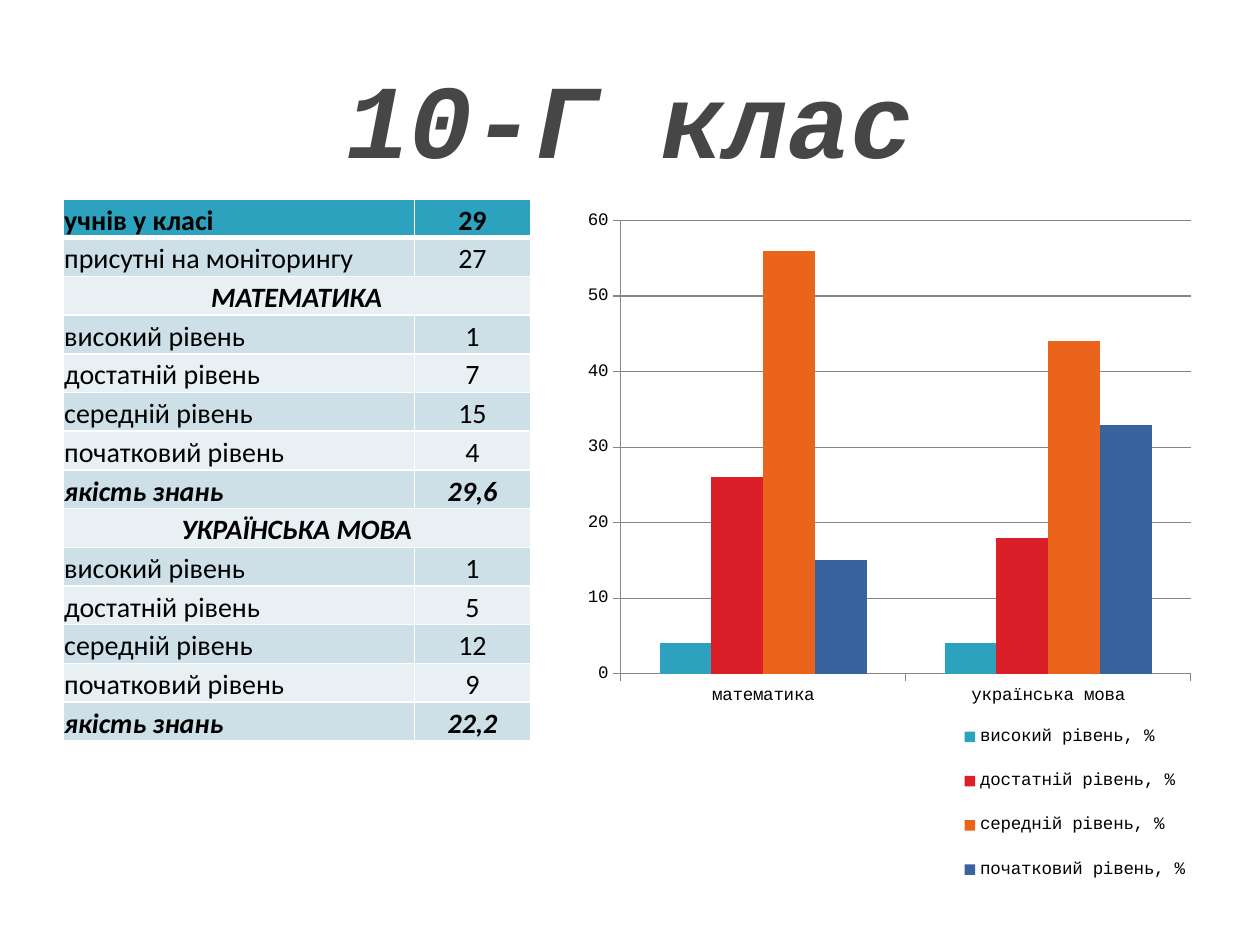
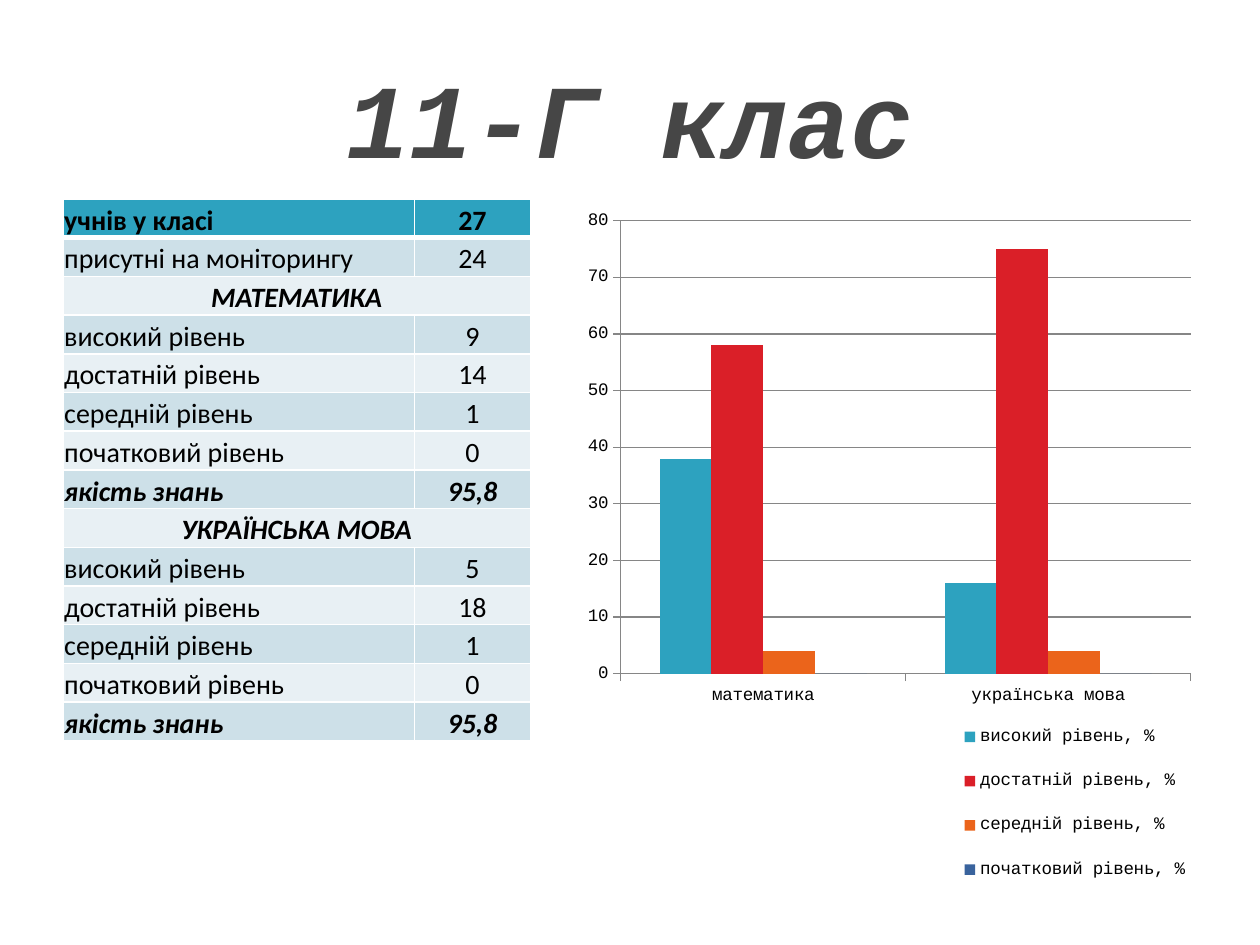
"""Builds the monitoring result slides for two classes."""
from lxml import etree
from pptx import Presentation
from pptx import util as u
from pptx.chart.data import CategoryChartData
from pptx.dml.color import RGBColor
from pptx.enum import chart as ch
from pptx.enum import text
from pptx.oxml import ns

BLACK = RGBColor(0x00, 0x00, 0x00)
WHITE = RGBColor(0xFF, 0xFF, 0xFF)
TITLE_GRAY = RGBColor(0x46, 0x46, 0x46)
LINE_GRAY = RGBColor(0x86, 0x86, 0x86)
TEAL = RGBColor(0x2D, 0xA2, 0xBF)
RED = RGBColor(0xDA, 0x1F, 0x28)
ORANGE = RGBColor(0xEB, 0x64, 0x1B)
BLUE = RGBColor(0x39, 0x63, 0x9D)
BAND_DARK = RGBColor(0xCD, 0xE0, 0xE8)
BAND_LIGHT = RGBColor(0xE8, 0xF0, 0xF4)

LEVELS = ["високий рівень", "достатній рівень", "середній рівень", "початковий рівень"]
LEVEL_COLORS = [TEAL, RED, ORANGE, BLUE]
SUBJECTS = ["математика", "українська мова"]
QUALITY = "якість знань"

CLASSES = [
    {
        "title": "10-Г клас",
        "pupils": ["29", "27"],
        "results": [["1", "7", "15", "4", "29,6"], ["1", "5", "12", "9", "22,2"]],
        "percents": [(4, 4), (26, 18), (56, 44), (15, 33)],
    },
    {
        "title": "11-Г клас",
        "pupils": ["27", "24"],
        "results": [["9", "14", "1", "0", "95,8"], ["5", "18", "1", "0", "95,8"]],
        "percents": [(38, 16), (58, 75), (4, 4), (0, 0)],
    },
]


class ReportDeck:
    """Holds the deck style and the current slide."""

    title_font = chart_font = "Courier New"
    table_font = "Calibri"

    def __init__(self):
        self.presentation = Presentation()
        self.presentation.slide_width = u.Inches(10)
        self.presentation.slide_height = u.Inches(7.5)
        self.slide = None

    def add_slide(self):
        self.slide = self.presentation.slides.add_slide(self.presentation.slide_layouts[5])

    def add_run(self, paragraph, words, font, size, color, bold=False, italic=False):
        run = paragraph.add_run()
        run.text = words
        run.font.name = font
        run.font.size = u.Pt(size)
        run.font.color.rgb = color
        run.font.bold = bold
        run.font.italic = italic

    def add_title(self, words):
        title = self.slide.shapes.title
        title.left, title.top = u.Inches(0.5), u.Inches(0.3)
        title.width, title.height = u.Inches(9), u.Inches(1.25)
        title.text_frame.vertical_anchor = text.MSO_ANCHOR.MIDDLE
        paragraph = title.text_frame.paragraphs[0]
        paragraph.alignment = text.PP_ALIGN.CENTER
        self.add_run(paragraph, words, self.title_font, 60, TITLE_GRAY, True, True)

    def set_borders(self, cell, bottom_width):
        properties = cell._tc.get_or_add_tcPr()
        for side, width in (("L", 1), ("R", 1), ("T", 1), ("B", bottom_width)):
            line = etree.SubElement(properties, ns.qn(f"a:ln{side}"), w=str(u.Pt(width)))
            fill = etree.SubElement(line, ns.qn("a:solidFill"))
            etree.SubElement(fill, ns.qn("a:srgbClr"), val=str(WHITE))

    def fill_cell(self, cell, words, color, centered, bold, italic, bottom_width):
        self.set_borders(cell, bottom_width)
        cell.fill.solid()
        cell.fill.fore_color.rgb = color
        cell.vertical_anchor = text.MSO_ANCHOR.BOTTOM
        cell.margin_left = cell.margin_right = cell.margin_top = u.Inches(0.01)
        cell.margin_bottom = 0
        if words:
            paragraph = cell.text_frame.paragraphs[0]
            paragraph.alignment = text.PP_ALIGN.CENTER if centered else text.PP_ALIGN.LEFT
            self.add_run(paragraph, words, self.table_font, 16, BLACK, bold, italic)

    def add_table(self, rows):
        table = self.slide.shapes.add_table(
            len(rows), 2, u.Inches(0.5), u.Inches(1.58), u.Inches(3.71), u.Inches(4.3)
        ).table
        table.columns[0].width, table.columns[1].width = u.Inches(2.79), u.Inches(0.92)
        for index, (label, value) in enumerate(rows):
            header = index == 0
            subject = value is None
            italic = subject or label == QUALITY
            color = TEAL if header else BAND_DARK if index % 2 else BAND_LIGHT
            for column, words in enumerate((label, value)):
                self.fill_cell(table.cell(index, column), words, color, subject or column == 1,
                               header or italic, italic, 3 if header else 1)
            if subject:
                table.cell(index, 0).merge(table.cell(index, 1))

    def set_layout(self, parent, position, box, inner=False):
        for previous in parent.findall(ns.qn("c:layout")):
            parent.remove(previous)
        layout = etree.Element(ns.qn("c:layout"))
        manual = etree.SubElement(layout, ns.qn("c:manualLayout"))
        settings = [("layoutTarget", "inner")] if inner else []
        settings += [("xMode", "edge"), ("yMode", "edge"), *zip("xywh", box)]
        for name, value in settings:
            etree.SubElement(manual, ns.qn(f"c:{name}"), val=str(value))
        parent.insert(position, layout)

    def style_line(self, line):
        line.color.rgb = LINE_GRAY
        line.width = u.Pt(0.75)

    def add_chart(self, percents):
        data = CategoryChartData()
        data.categories = SUBJECTS
        for level, values in zip(LEVELS, percents):
            data.add_series(f"{level}, %", values)
        chart = self.slide.shapes.add_chart(
            ch.XL_CHART_TYPE.COLUMN_CLUSTERED,
            u.Inches(4.53), u.Inches(1.58), u.Inches(4.97), u.Inches(5.71), data
        ).chart
        chart.has_title = False
        chart.font.name = self.chart_font
        chart.font.size = u.Pt(10)
        chart.font.color.rgb = BLACK

        plot = chart.plots[0]
        plot.gap_width, plot.overlap = 150, 0
        plot.vary_by_categories = False
        for series, color in zip(plot.series, LEVEL_COLORS):
            series.format.fill.solid()
            series.format.fill.fore_color.rgb = color

        for axis in (chart.category_axis, chart.value_axis):
            axis.major_tick_mark = ch.XL_TICK_MARK.OUTSIDE
            axis.minor_tick_mark = ch.XL_TICK_MARK.NONE
            self.style_line(axis.format.line)
        chart.value_axis.has_major_gridlines = True
        self.style_line(chart.value_axis.major_gridlines.format.line)

        chart.has_legend = True
        chart.legend.position = ch.XL_LEGEND_POSITION.RIGHT
        chart.legend.include_in_layout = False
        self.set_layout(chart.legend._element, 1, (0.62, 0.7, 0.37, 0.28))
        plot_area = chart._chartSpace.chart.plotArea
        self.set_layout(plot_area, 0, (0.08, 0.03, 0.91, 0.63), inner=True)


def table_rows(pupils, results):
    """Lists label and value pairs; a subject heading has no value."""
    rows = list(zip(["учнів у класі", "присутні на моніторингу"], pupils))
    for subject, values in zip(SUBJECTS, results):
        rows.append((subject.upper(), None))
        rows.extend(zip(LEVELS + [QUALITY], values))
    return rows


def main():
    deck = ReportDeck()
    for school_class in CLASSES:
        deck.add_slide()
        deck.add_title(school_class["title"])
        deck.add_table(table_rows(school_class["pupils"], school_class["results"]))
        deck.add_chart(school_class["percents"])
    deck.presentation.save("out.pptx")


if __name__ == "__main__":
    main()
